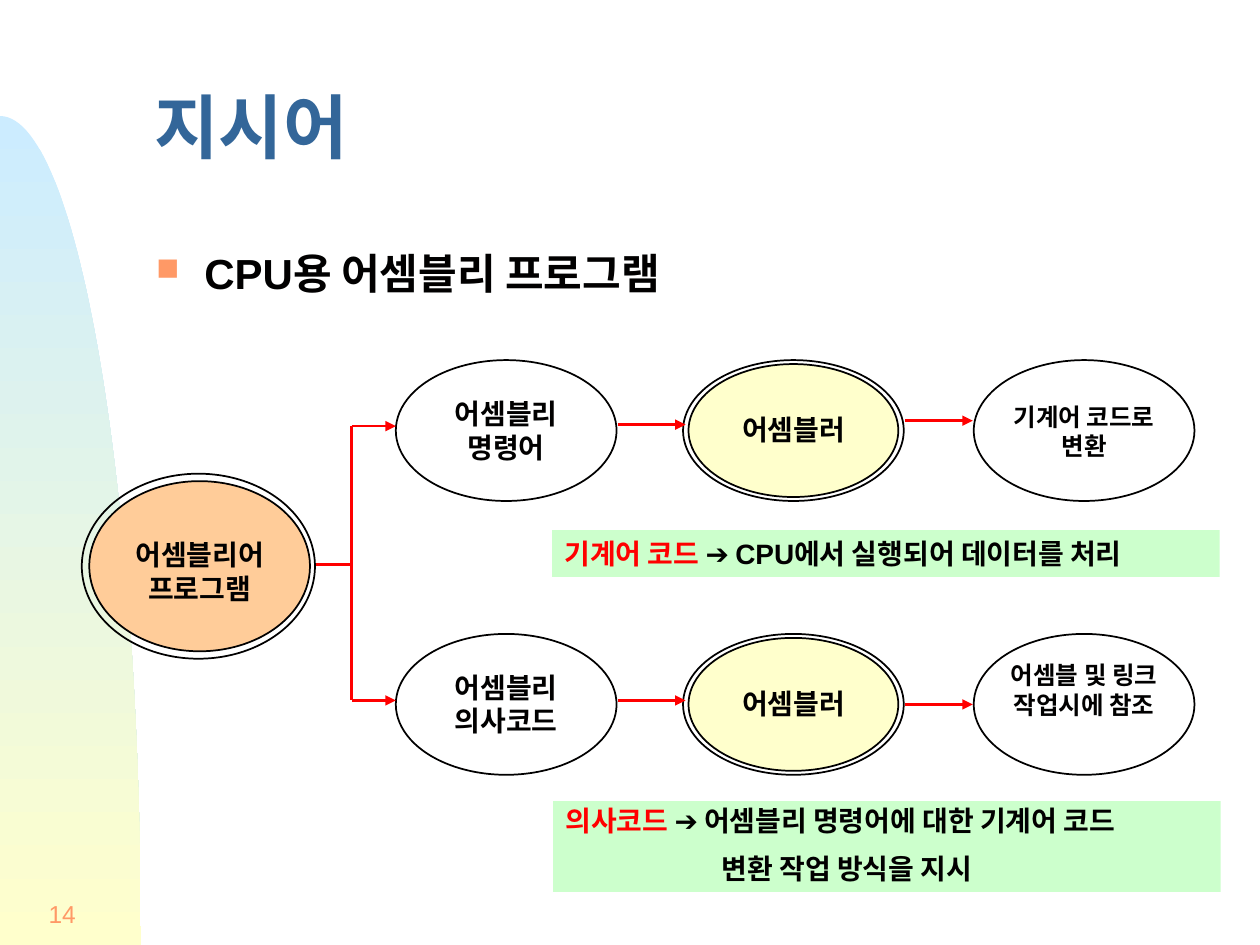
from dataclasses import dataclass

from lxml import etree
from pptx import Presentation
from pptx.dml.color import RGBColor
from pptx.enum.shapes import MSO_CONNECTOR, MSO_SHAPE
from pptx.enum.text import MSO_ANCHOR, PP_ALIGN
from pptx.oxml.ns import qn
from pptx.util import Cm, Pt

STRAIGHT = MSO_CONNECTOR.STRAIGHT
OVAL, RECTANGLE = MSO_SHAPE.OVAL, MSO_SHAPE.RECTANGLE
LEFT, CENTER, RIGHT = PP_ALIGN.LEFT, PP_ALIGN.CENTER, PP_ALIGN.RIGHT
TOP, MIDDLE = MSO_ANCHOR.TOP, MSO_ANCHOR.MIDDLE

BLACK, RED, ORANGE, BLUE = "010000", "FF0000", "FF9966", "336699"
PEACH, CREAM, GREEN, SKY = "FFCC99", "FFFFCC", "CCFFCC", "CCECFF"
SERIF, SANS, NARROW = "Times New Roman", "Arial", "Arial Narrow"

OVAL_W, OVAL_H = 4.45, 2.84
SOURCE_X, ASSEMBLER_X, RESULT_X = 7.98, 13.77, 19.63
RING_X, RING_Y = 0.11, 0.08
BRANCH_X = 7.09


@dataclass
class Flow:
    top: float
    source: str
    result: str
    result_drop: float
    branch_y: float
    assemble_y: float
    result_y: float


@dataclass
class Note:
    left: float
    top: float
    height: float
    term: str
    meaning: str
    continuation: str = ""
    spacing: float = 1.0


FLOWS = [
    Flow(7.26, "어셈블리 명령어", "기계어 코드로 변환", 0.71, 8.59, 8.56, 8.48),
    Flow(12.78, "어셈블리 의사코드", "어셈블 및 링크 작업시에 참조", 0.41, 14.12, 14.12, 14.2),
]
NOTES = [
    Note(11.13, 10.69, 0.94, "기계어 코드 ", "➔ CPU에서 실행되어 데이터를 처리"),
    Note(11.15, 16.15, 1.83, "의사코드 ", "➔ 어셈블리 명령어에 대한 기계어 코드",
         "변환 작업 방식을 지시", 0.9),
]


def color(value: str) -> RGBColor:
    return RGBColor.from_string(value)


def add_run(paragraph, text: str, *, size=16, font=SERIF, ink=BLACK, bold=True) -> None:
    run = paragraph.add_run()
    run.text = text
    run.font.size = Pt(size)
    run.font.name = font
    run.font.bold = bold
    run.font.color.rgb = color(ink)


def add_text(slide, text: str, left, top, width, height, *, align=CENTER,
             anchor=TOP, spacing=1.0, **run_format):
    frame = slide.shapes.add_textbox(Cm(left), Cm(top), Cm(width), Cm(height)).text_frame
    frame.word_wrap = True
    frame.vertical_anchor = anchor
    paragraph = frame.paragraphs[0]
    paragraph.alignment = align
    paragraph.line_spacing = spacing
    add_run(paragraph, text, **run_format)
    return paragraph


def add_bullet(paragraph, indent: float) -> None:
    properties = paragraph._p.get_or_add_pPr()
    properties.set("marL", str(Cm(indent)))
    properties.set("indent", str(-Cm(indent)))
    bullet_color = etree.SubElement(properties, qn("a:buClr"))
    etree.SubElement(bullet_color, qn("a:srgbClr"), val=ORANGE)
    etree.SubElement(properties, qn("a:buSzPct"), val="75000")
    etree.SubElement(properties, qn("a:buChar"), char="■")


def add_panel(slide, kind, left, top, width, height, fill=None, line=None):
    panel = slide.shapes.add_shape(kind, Cm(left), Cm(top), Cm(width), Cm(height))
    panel.shadow.inherit = False
    if fill:
        panel.fill.solid()
        panel.fill.fore_color.rgb = color(fill)
    else:
        panel.fill.background()
    if line:
        panel.line.color.rgb = color(line)
        panel.line.width = Pt(1)
    else:
        panel.line.fill.background()
    return panel


def add_line(slide, x1, y1, x2, y2, arrow=False) -> None:
    line = slide.shapes.add_connector(STRAIGHT, Cm(x1), Cm(y1), Cm(x2), Cm(y2))
    line.line.color.rgb = color(RED)
    line.line.width = Pt(1.5)
    if arrow:
        etree.SubElement(line.line._get_or_add_ln(), qn("a:tailEnd"), type="triangle")
    etree.SubElement(line._element.spPr, qn("a:effectLst"))


def add_hill(slide) -> None:
    """Draw the shaded curve at the left edge, sampled from a cubic Bezier."""
    start, control_1, control_2, end = (0, 2.34), (1.57, 2.34), (2.84, 9.83), (2.84, 19.05)
    steps = 60
    curve = []
    for step in range(steps + 1):
        t = step / steps
        weights = ((1 - t) ** 3, 3 * t * (1 - t) ** 2, 3 * t ** 2 * (1 - t), t ** 3)
        knots = (start, control_1, control_2, end)
        curve.append(tuple(Cm(sum(w * k[axis] for w, k in zip(weights, knots)))
                           for axis in (0, 1)))
    builder = slide.shapes.build_freeform(*curve[0])
    builder.add_line_segments(curve[1:] + [(0, Cm(19.05))], close=True)
    hill = builder.convert_to_shape()
    hill.shadow.inherit = False
    hill.line.fill.background()
    hill.fill.gradient()
    hill.fill.gradient_angle = 270
    for stop, shade in zip(hill.fill.gradient_stops, (SKY, CREAM)):
        stop.color.rgb = color(shade)


def add_label(slide, text, oval_left, top, width, height, size=16) -> None:
    """Centre a label across an oval of the standard width."""
    add_text(slide, text, oval_left + (OVAL_W - width) / 2, top, width, height, size=size)


def add_flow(slide, flow: Flow) -> None:
    add_panel(slide, OVAL, ASSEMBLER_X + RING_X, flow.top + RING_Y,
              OVAL_W - 2 * RING_X, OVAL_H - 2 * RING_Y, fill=CREAM, line=BLACK)
    for left in (SOURCE_X, ASSEMBLER_X, RESULT_X):
        add_panel(slide, OVAL, left, flow.top, OVAL_W, OVAL_H, line=BLACK)
    add_label(slide, flow.source, SOURCE_X, flow.top + 0.61, 3.23, 1.6)
    add_label(slide, "어셈블러", ASSEMBLER_X, flow.top + 0.94, 3.07, 0.94)
    add_label(slide, flow.result, RESULT_X, flow.top + flow.result_drop, 3.66, 1.45, size=14)
    for x1, x2, y in ((BRANCH_X, SOURCE_X, flow.branch_y),
                      (12.45, 13.82, flow.assemble_y),
                      (18.24, 19.61, flow.result_y)):
        add_line(slide, x1, y, x2, y, arrow=True)


def add_note(slide, note: Note) -> None:
    frame = add_panel(slide, RECTANGLE, note.left, note.top, 13.46, note.height,
                      fill=GREEN).text_frame
    frame.word_wrap = True
    frame.vertical_anchor = TOP
    first = frame.paragraphs[0]
    add_run(first, note.term, font=SANS, ink=RED)
    add_run(first, note.meaning, font=SANS)
    if note.continuation:
        second = frame.add_paragraph()
        second.space_before = Pt(10)
        second._p.get_or_add_pPr().set("marL", str(Cm(3.15)))
        add_run(second, note.continuation, font=SANS)
    for paragraph in frame.paragraphs:
        paragraph.alignment = LEFT
        paragraph.line_spacing = note.spacing


def main() -> None:
    deck = Presentation()
    deck.slide_width, deck.slide_height = Cm(25.4), Cm(19.05)
    slide = deck.slides.add_slide(deck.slide_layouts[6])

    add_hill(slide)
    add_text(slide, "14", 0, 17.78, 1.78, 1.27, align=RIGHT, anchor=MIDDLE,
             size=14, font=SANS, ink=ORANGE, bold=False)
    add_text(slide, "지시어", 2.87, 1.4, 21.89, 2.67, align=LEFT, anchor=MIDDLE,
             spacing=0.7, size=40, font=NARROW, ink=BLUE)
    topic = add_text(slide, "CPU용 어셈블리 프로그램", 2.9, 4.57, 21.59, 12.8,
                     align=LEFT, spacing=1.3, size=24, font=SANS)
    add_bullet(topic, 0.97)

    add_panel(slide, OVAL, 1.65, 9.55, 4.7, 3.73, line=BLACK)
    add_panel(slide, OVAL, 1.8, 9.7, OVAL_W, 3.43, fill=PEACH, line=BLACK)
    add_label(slide, "어셈블리어 프로그램", 1.8, 10.72, 3.68, 1.6)
    for flow in FLOWS:
        add_flow(slide, flow)
    add_line(slide, BRANCH_X, FLOWS[0].branch_y, BRANCH_X, FLOWS[1].branch_y)
    add_line(slide, 6.38, 11.38, BRANCH_X, 11.38)
    for note in NOTES:
        add_note(slide, note)
    deck.save("out.pptx")


if __name__ == "__main__":
    main()
